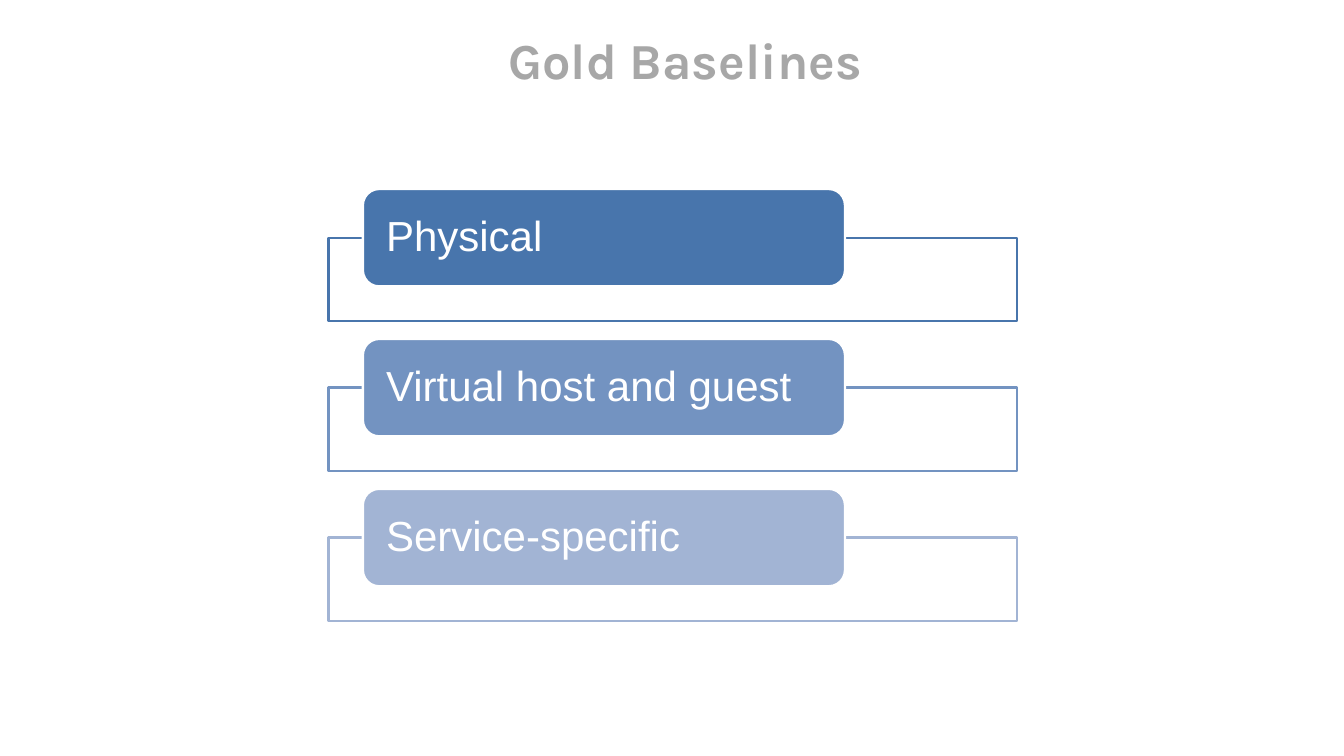
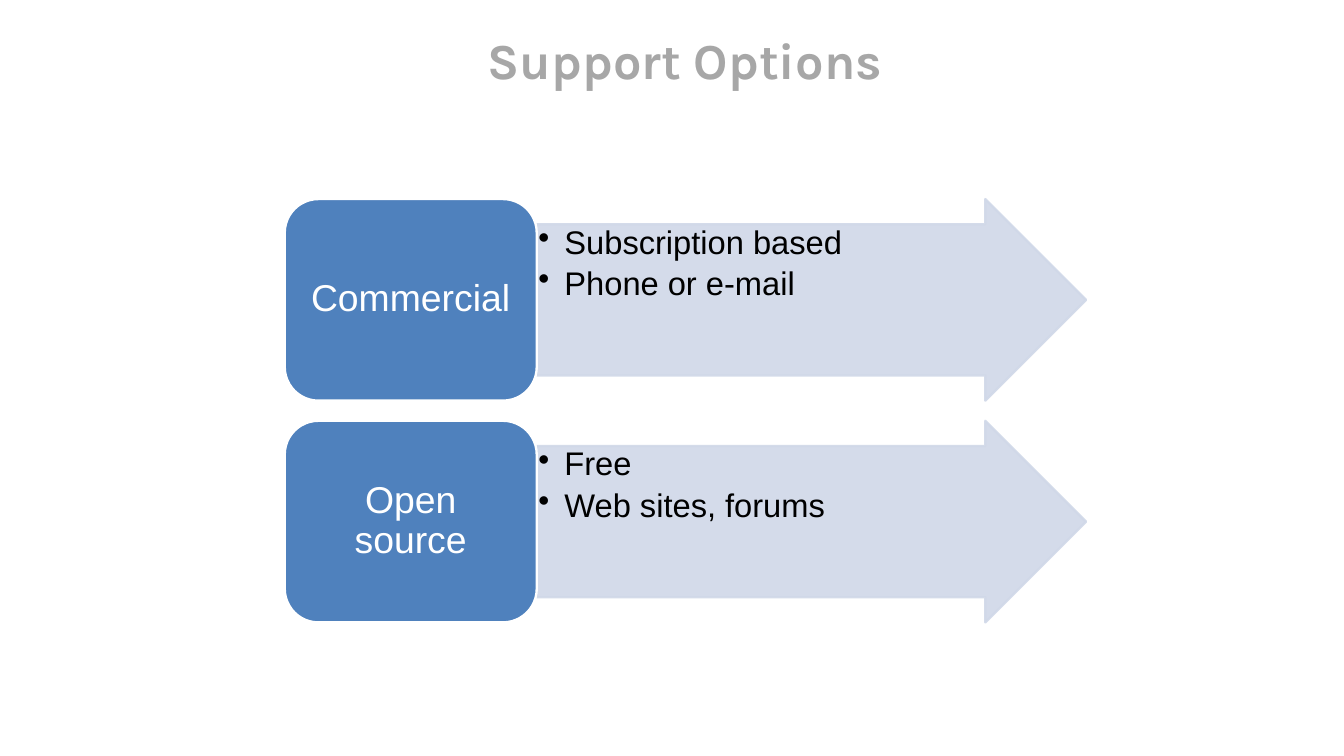
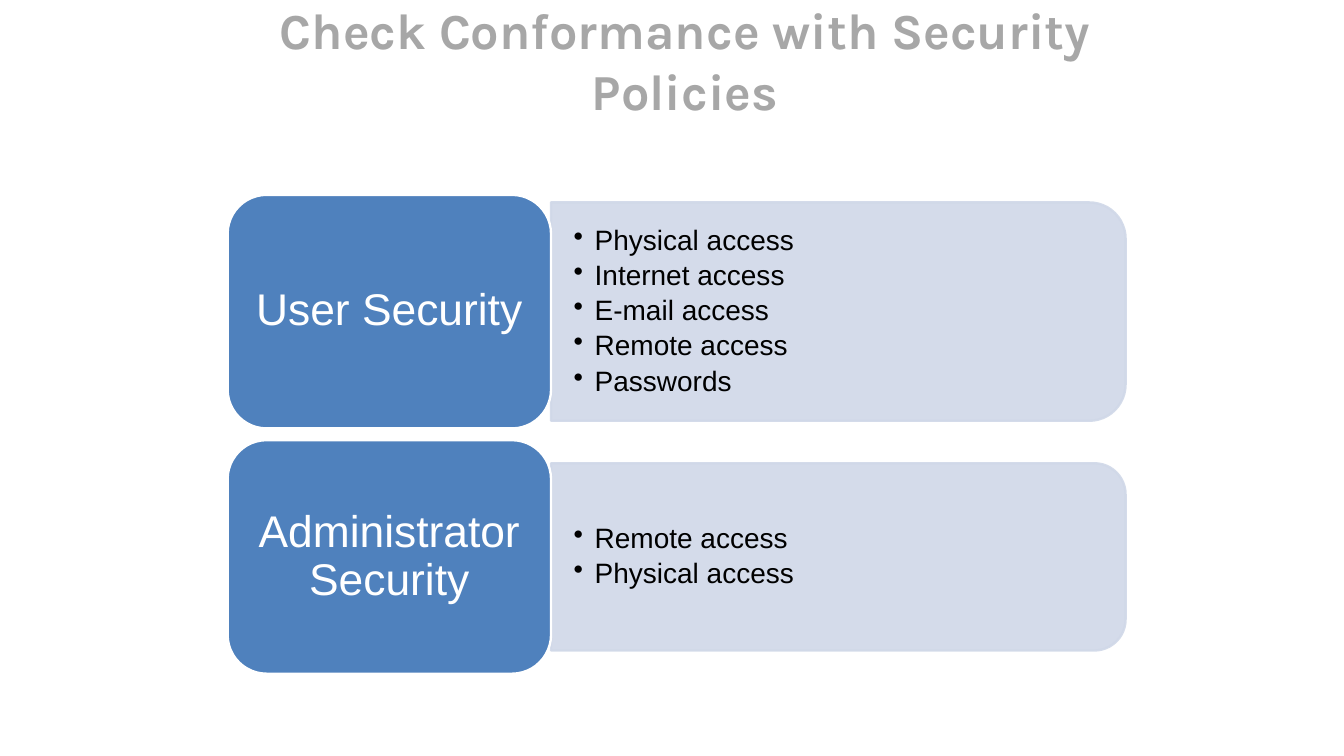
import pptx
import pptx.dml.color
import pptx.enum.shapes
import pptx.enum.text
import pptx.oxml
import pptx.oxml.ns
import pptx.util
from lxml import etree

Inches = pptx.util.Inches
Pt = pptx.util.Pt
SHAPES = pptx.enum.shapes.MSO_SHAPE
ALIGN = pptx.enum.text.PP_ALIGN
ANCHOR = pptx.enum.text.MSO_ANCHOR

# Shared style
WHITE, BLACK = "FFFFFF", "000000"
TITLE_GREY, BLUE, PALE_BLUE = "A7A7A7", "4F81BD", "D0D8E8"
TITLE_FONT, BODY_FONT = "Karla", "Arial"
LINE_WIDTH = 2
PANEL_OPACITY = 90


def rgb(value):
    return pptx.dml.color.RGBColor.from_string(value)


def set_opacity(color_fill, percent):
    """Make a solid fill, of an area or a line, partly transparent."""
    color = color_fill.find(".//" + pptx.oxml.ns.qn("a:srgbClr"))
    alpha = etree.SubElement(color, pptx.oxml.ns.qn("a:alpha"))
    alpha.set("val", str(percent * 1000))


def add_bullet(paragraph, indent):
    properties = paragraph._p.get_or_add_pPr()
    properties.set("marL", str(Inches(indent)))
    properties.set("indent", str(-Inches(indent)))
    bullet = etree.SubElement(properties, pptx.oxml.ns.qn("a:buChar"))
    bullet.set("char", "•")


def write_text(shape, lines, size, color=WHITE, font=BODY_FONT, bold=False,
               align=ALIGN.LEFT, anchor=ANCHOR.MIDDLE, insets=(0, 0),
               line_spacing=0.9, space_after=0, bullet_indent=None):
    """Write one paragraph per line; insets are horizontal and vertical."""
    frame = shape.text_frame
    frame.word_wrap = True
    frame.auto_size = pptx.enum.text.MSO_AUTO_SIZE.NONE
    frame.vertical_anchor = anchor
    frame.margin_left = frame.margin_right = Inches(insets[0])
    frame.margin_top = frame.margin_bottom = Inches(insets[1])
    for index, line in enumerate(lines):
        paragraph = frame.paragraphs[0] if index == 0 else frame.add_paragraph()
        if bullet_indent:
            add_bullet(paragraph, bullet_indent)
        paragraph.alignment = align
        paragraph.line_spacing = line_spacing
        paragraph.space_before = Pt(0)
        paragraph.space_after = Pt(space_after)
        run = paragraph.add_run()
        run.text = line
        run.font.name = font
        run.font.size = Pt(size)
        run.font.bold = bold
        run.font.color.rgb = rgb(color)


def add_box(slide, kind, left, top, width, height, fill, line, opacity=100):
    shape = slide.shapes.add_shape(
        kind, Inches(left), Inches(top), Inches(width), Inches(height))
    shape.shadow.inherit = False
    shape.fill.solid()
    shape.fill.fore_color.rgb = rgb(fill)
    shape.line.color.rgb = rgb(line)
    shape.line.width = Pt(LINE_WIDTH)
    if opacity < 100:
        set_opacity(shape._element.spPr, opacity)
    return shape


def add_pale_panel(slide, kind, left, top, width, height):
    panel = add_box(slide, kind, left, top, width, height,
                    PALE_BLUE, PALE_BLUE, PANEL_OPACITY)
    set_opacity(panel.line._ln, PANEL_OPACITY)
    return panel


def add_label(slide, text, left, top, width, height, size, insets,
              fill=BLUE, align=ALIGN.CENTER):
    label = add_box(slide, SHAPES.ROUNDED_RECTANGLE, left, top, width, height,
                    fill, WHITE)
    write_text(label, [text], size, align=align, insets=insets)


def add_titled_slide(presentation, title):
    slide = presentation.slides.add_slide(presentation.slide_layouts[5])
    shape = slide.shapes.title
    shape.left, shape.top = Inches(2.71), Inches(0.4)
    shape.width, shape.height = Inches(10.89), Inches(0.62)
    write_text(shape, [title], 43.2, color=TITLE_GREY, font=TITLE_FONT,
               bold=True, align=ALIGN.CENTER, insets=(0.07, 0.07),
               line_spacing=1.0)
    return slide


def build_baselines(presentation):
    slide = add_titled_slide(presentation, "Gold Baselines")
    baselines = [("Physical", "4875AC"), ("Virtual host and guest", "7393C1"),
                 ("Service-specific", "A2B4D4")]
    for index, (name, color) in enumerate(baselines):
        top = 2.25 + index * 1.785
        add_box(slide, SHAPES.RECTANGLE, 3.91, top + 0.58, 8.2, 0.99,
                WHITE, color, PANEL_OPACITY)
        add_label(slide, name, 4.32, top, 5.74, 1.16, 36, (0.22, 0),
                  fill=color, align=ALIGN.LEFT)


def build_support(presentation):
    slide = add_titled_slide(presentation, "Support Options")
    options = [("Commercial", ["Subscription based", "Phone or e-mail"]),
               ("Open source", ["Free", "Web sites, forums"])]
    left, width, height = 3.39, 3, 2.4
    for index, (name, features) in enumerate(options):
        top = 2.37 + index * 2.64
        arrow = add_pale_panel(slide, SHAPES.RIGHT_ARROW,
                               left + width, top, 6.54, height)
        arrow.adjustments[0] = 0.75
        arrow.adjustments[1] = 0.5
        write_text(arrow, features, 28, color=BLACK, anchor=ANCHOR.TOP,
                   insets=(0.02, 0.02), space_after=5, bullet_indent=0.31)
        add_label(slide, name, left, top, width, height, 32, (0.13, 0.07))


def build_policies(presentation):
    slide = add_titled_slide(
        presentation, "Check Conformance with Security Policies")
    policies = [
        ("User Security", 2.6, ["Physical access", "Internet access",
                                "E-mail access", "Remote access", "Passwords"]),
        ("Administrator Security", 2.23, ["Remote access", "Physical access"]),
    ]
    left, width, height = 2.71, 3.85, 2.78
    panel_left, panel_width = left + width, 6.84
    for index, (name, panel_height, checks) in enumerate(policies):
        top = 2.32 + index * 2.92
        middle = top + height / 2
        # The panel is turned a quarter, so its sides are swapped
        panel = add_pale_panel(
            slide, SHAPES.ROUND_2_SAME_RECTANGLE,
            panel_left + (panel_width - panel_height) / 2,
            middle - panel_width / 2, panel_height, panel_width)
        panel.rotation = 90
        check_list = slide.shapes.add_textbox(
            Inches(panel_left), Inches(middle - panel_height / 2),
            Inches(panel_width), Inches(panel_height))
        write_text(check_list, checks, 24, color=BLACK, insets=(0.27, 0.14),
                   space_after=4.3, bullet_indent=0.25)
        add_label(slide, name, left, top, width, height, 38, (0.16, 0.08))


def main():
    presentation = pptx.Presentation()
    presentation.slide_width = Inches(16)
    presentation.slide_height = Inches(9)
    build_baselines(presentation)
    build_support(presentation)
    build_policies(presentation)
    presentation.save("out.pptx")


if __name__ == "__main__":
    main()
